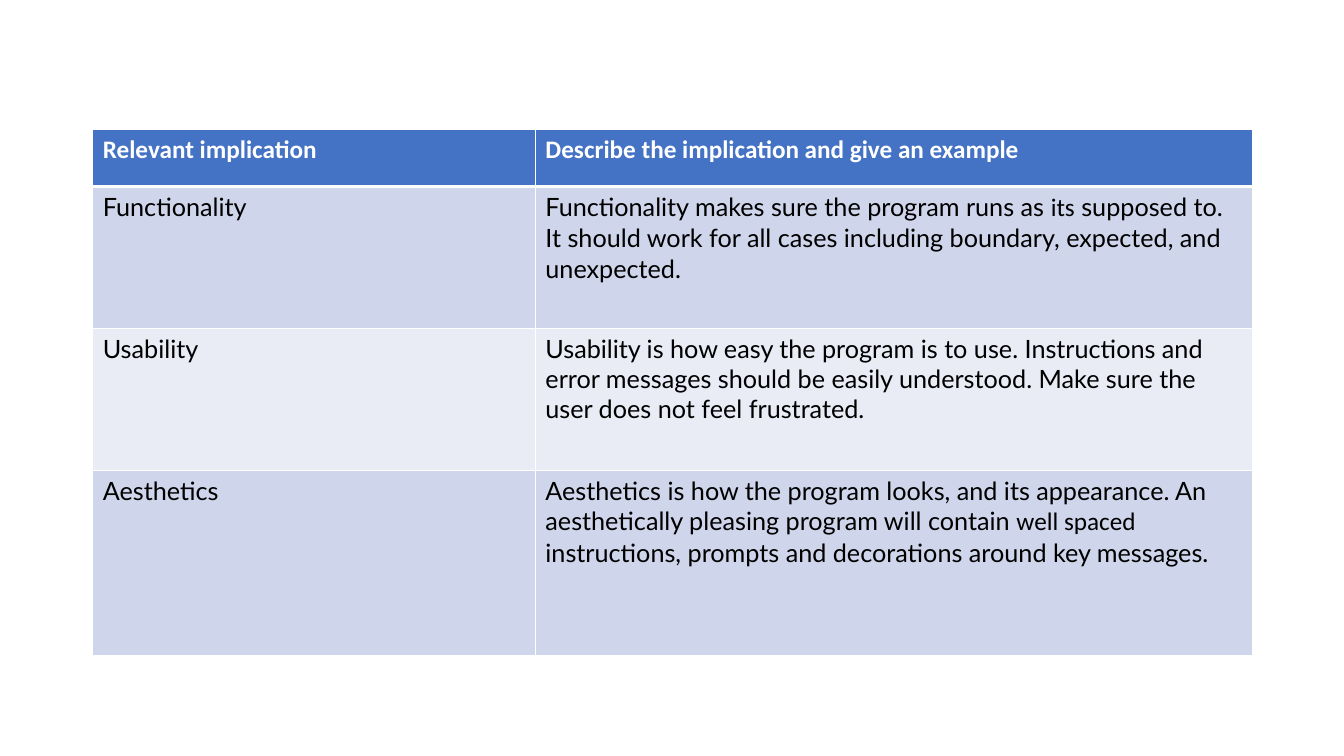
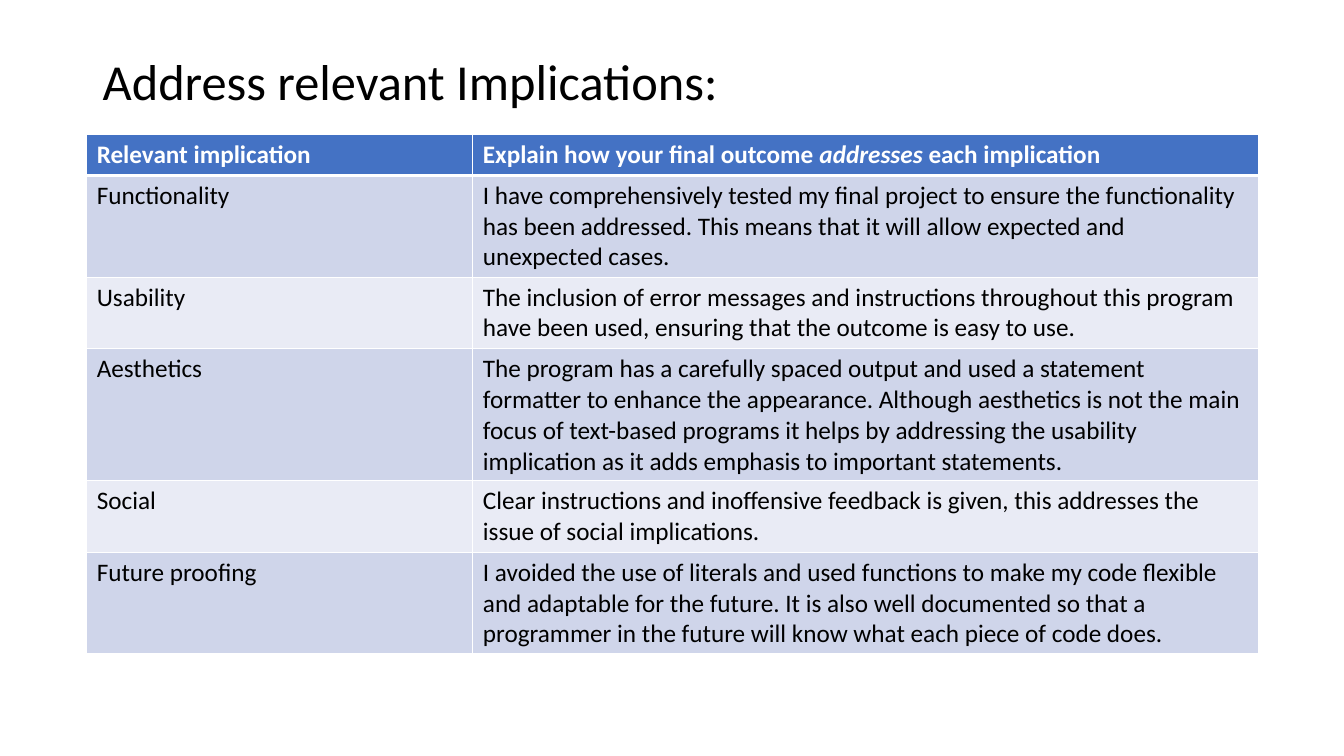
from typing import NamedTuple

from lxml import etree
from pptx import Presentation
from pptx.dml.color import RGBColor
from pptx.enum.text import MSO_ANCHOR
from pptx.oxml.ns import qn
from pptx.slide import Slide
from pptx.table import _Cell
from pptx.text.text import _Paragraph
from pptx.util import Emu, Pt

MIDDLE = MSO_ANCHOR.MIDDLE
EMU_PER_PX = 9144
SLIDE_WIDTH, SLIDE_HEIGHT = 1333, 750
BLANK_LAYOUT = 6

COLORS = {
    "header": "4472C4",
    "band_dark": "CFD5EA",
    "band_light": "E9EBF5",
    "border": "FFFFFF",
    "header_text": "FFFFFF",
    "text": "000000",
}
CALIBRI, LATO = "Calibri", "Lato"
TABLE_SIZE, TITLE_SIZE = 18, 36
THIN_BORDER, HEADER_BORDER = 1, 3


class Piece(NamedTuple):
    text: str
    font: str = CALIBRI
    italic: bool = False


class Row(NamedTuple):
    height: int
    label: Piece
    description: tuple[Piece, ...]


class ImplicationTable(NamedTuple):
    left: int
    top: int
    column_widths: tuple[int, int]
    rows: tuple[Row, ...]


# Content
DESCRIPTIONS = ImplicationTable(92, 128, (439, 711), (
    Row(57, Piece("Relevant implication"),
        (Piece("Describe the implication and give an example"),)),
    Row(141, Piece("Functionality", LATO), (
        Piece("Functionality makes sure the program runs as ", LATO),
        Piece("its"),
        Piece(" supposed to. It should work for all cases including "
              "boundary, expected, and unexpected. ", LATO))),
    Row(141, Piece("Usability", LATO), (
        Piece("Usability is how easy the program is to use. Instructions and "
              "error messages should be easily understood. Make sure the user "
              "does not feel frustrated.", LATO),)),
    Row(183, Piece("Aesthetics", LATO), (
        Piece("Aesthetics is how the program looks, and its appearance. "
              "An aesthetically pleasing program will contain ", LATO),
        Piece("well spaced"),
        Piece(" instructions, prompts and decorations around key messages.",
              LATO))),
))

OUTCOMES = ImplicationTable(86, 133, (383, 779), (
    Row(41, Piece("Relevant implication"), (
        Piece("Explain how your final outcome "),
        Piece("addresses", italic=True),
        Piece(" each implication"))),
    Row(101, Piece("Functionality"), (
        Piece("I have comprehensively tested my final project to ensure the "
              "functionality has been addressed. This means that it will allow "
              "expected and unexpected cases."),)),
    Row(71, Piece("Usability"), (
        Piece("The inclusion of error messages and instructions throughout "
              "this program have been used, ensuring that the outcome is easy "
              "to use."),)),
    Row(131, Piece("Aesthetics"), (
        Piece("The program has a carefully spaced output and used a statement "
              "formatter to enhance the appearance. Although aesthetics is not "
              "the main focus of text-based programs it helps by addressing "
              "the usability implication as it adds emphasis to important "
              "statements."),)),
    Row(71, Piece("Social"), (
        Piece("Clear instructions and inoffensive feedback is given, this "
              "addresses the issue of social implications."),)),
    Row(101, Piece("Future proofing"), (
        Piece("I avoided the use of literals and used functions to make my "
              "code flexible and adaptable for the future. It is also well "
              "documented so that a programmer in the future will know what "
              "each piece of code does."),)),
))


# Helpers
def px(length: int) -> Emu:
    return Emu(length * EMU_PER_PX)


def color(name: str) -> RGBColor:
    return RGBColor.from_string(COLORS[name])


def write_pieces(paragraph: _Paragraph, pieces: tuple[Piece, ...],
                 size: int, color_name: str, bold: bool = False) -> None:
    for piece in pieces:
        run = paragraph.add_run()
        run.text = piece.text
        run.font.name = piece.font
        run.font.size = Pt(size)
        run.font.bold = bold
        run.font.italic = piece.italic
        run.font.color.rgb = color(color_name)


def set_borders(cell: _Cell, top: int, bottom: int) -> None:
    properties = cell._tc.get_or_add_tcPr()
    widths = {"lnL": THIN_BORDER, "lnR": THIN_BORDER, "lnT": top, "lnB": bottom}
    for tag, width in widths.items():
        line = etree.SubElement(properties, qn(f"a:{tag}"), w=str(Pt(width)))
        fill = etree.SubElement(line, qn("a:solidFill"))
        etree.SubElement(fill, qn("a:srgbClr"), val=COLORS["border"])


# Slide parts
def add_title(slide: Slide, text: str) -> None:
    box = slide.shapes.add_textbox(px(92), px(40), px(1150), px(70))
    frame = box.text_frame
    frame.word_wrap = True
    frame.vertical_anchor = MIDDLE
    paragraph = frame.paragraphs[0]
    paragraph.line_spacing = 1.15
    write_pieces(paragraph, (Piece(text),), TITLE_SIZE, "text")


def add_implication_table(slide: Slide, content: ImplicationTable) -> None:
    table = slide.shapes.add_table(
        len(content.rows), len(content.column_widths),
        px(content.left), px(content.top), px(sum(content.column_widths)),
        px(sum(row.height for row in content.rows))).table
    for column, width in zip(table.columns, content.column_widths):
        column.width = px(width)
    for index, row in enumerate(content.rows):
        table.rows[index].height = px(row.height)
        is_header = index == 0
        band = "band_dark" if index % 2 else "band_light"
        for column_index, pieces in enumerate(((row.label,), row.description)):
            cell = table.cell(index, column_index)
            set_borders(cell,
                        top=HEADER_BORDER if index == 1 else THIN_BORDER,
                        bottom=HEADER_BORDER if is_header else THIN_BORDER)
            cell.fill.solid()
            cell.fill.fore_color.rgb = color("header" if is_header else band)
            write_pieces(cell.text_frame.paragraphs[0], pieces, TABLE_SIZE,
                         "header_text" if is_header else "text", is_header)


def main() -> None:
    presentation = Presentation()
    presentation.slide_width = px(SLIDE_WIDTH)
    presentation.slide_height = px(SLIDE_HEIGHT)
    layout = presentation.slide_layouts[BLANK_LAYOUT]

    # Implications described
    add_implication_table(presentation.slides.add_slide(layout), DESCRIPTIONS)

    # Implications addressed
    slide = presentation.slides.add_slide(layout)
    add_title(slide, "Address relevant Implications:")
    add_implication_table(slide, OUTCOMES)

    presentation.save("out.pptx")


if __name__ == "__main__":
    main()
